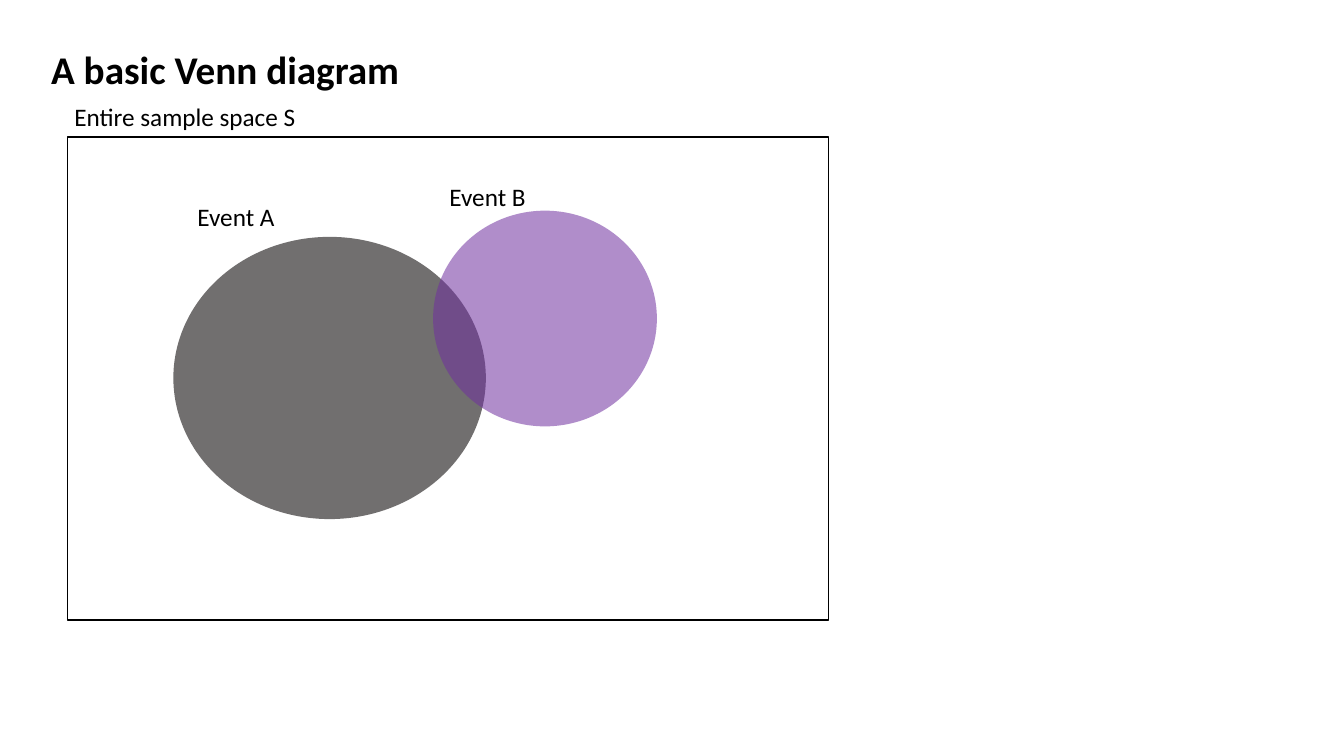
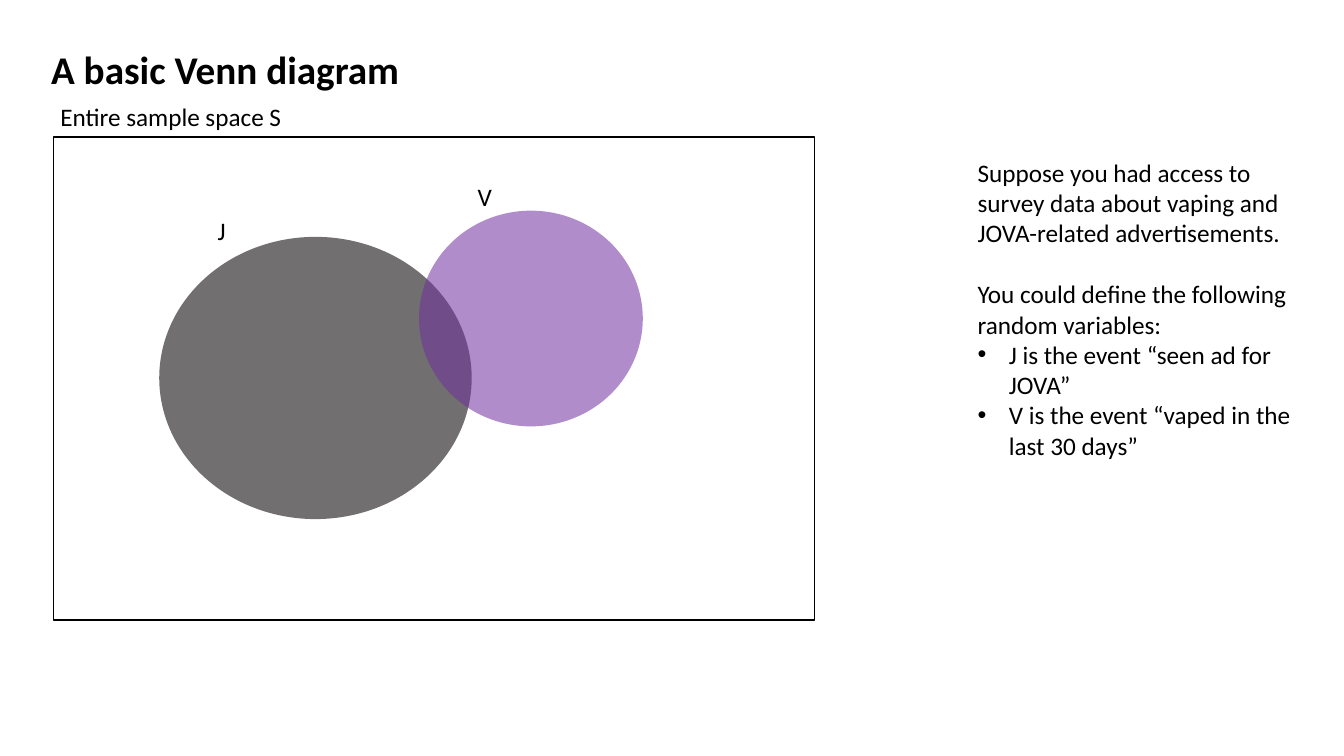
from lxml import etree
from pptx import Presentation
from pptx.dml.color import RGBColor
from pptx.enum.shapes import MSO_SHAPE
from pptx.oxml.ns import qn
from pptx.util import Inches, Pt

OVAL, RECT = MSO_SHAPE.OVAL, MSO_SHAPE.RECTANGLE
BLACK = RGBColor(0x00, 0x00, 0x00)
GRAY = RGBColor(0x3B, 0x38, 0x38)
PURPLE = RGBColor(0x70, 0x30, 0xA0)
FONT = "Calibri"
WIDE, HIGH = Inches(13.333), Inches(7.5)
COL, ROW = WIDE / 40, HIGH / 22.5

TITLE = "A basic Venn diagram"
SPACE = "Entire sample space S"
TITLE_BOX = (1.23, 1.2, 15, 1.71)
NOTE_BOX = (28.8, 4.53, 10.35, 9.39)
TOP, FRAME = 4.08, (22.65, 14.37)
DISCS = [
    (GRAY, 72, (3.15, 2.97, 9.3, 8.4)),
    (PURPLE, 55, (10.88, 2.19, 6.66, 6.42)),
]
SLIDES = [
    {"left": 2.01,
     "labels": [("Event A", 3.57, 1.77), ("Event B", 11.07, 1.17)],
     "notes": []},
    {"left": 1.59,
     "labels": [("J", 4.59, 2.19), ("V", 12.33, 1.17)],
     "notes": [
         ("Suppose you had access to survey data about vaping and "
          "JOVA-related advertisements.", False, 22),
         ("You could define the following random variables:", False, 0),
         ("J is the event “seen ad for JOVA”", True, 0),
         ("V is the event “vaped in the last 30 days”", True, 0),
     ]},
]


def place(x, y, w, h):
    return round(x * COL), round(y * ROW), round(w * COL), round(h * ROW)


def add_bullet(para):
    props = para._p.get_or_add_pPr()
    props.set("marL", str(Inches(0.31)))
    props.set("indent", str(-Inches(0.31)))
    etree.SubElement(props, qn("a:buFont")).set("typeface", "Arial")
    etree.SubElement(props, qn("a:buChar")).set("char", "•")


def add_text(slide, box, lines, size=18, bold=False):
    frame = slide.shapes.add_textbox(*place(*box)).text_frame
    frame.word_wrap = True
    for i, (text, bullet, gap) in enumerate(lines):
        para = frame.add_paragraph() if i else frame.paragraphs[0]
        para.text = text
        para.space_after = Pt(gap)
        font = para.font
        font.name, font.size, font.bold = FONT, Pt(size), bold
        font.color.rgb = BLACK
        if bullet:
            add_bullet(para)


def add_disc(slide, box, color, alpha):
    disc = slide.shapes.add_shape(OVAL, *place(*box))
    disc.shadow.inherit = False
    disc.line.fill.background()
    disc.fill.solid()
    disc.fill.fore_color.rgb = color
    tint = disc.element.spPr.find(qn("a:solidFill"))[0]
    etree.SubElement(tint, qn("a:alpha")).set("val", str(alpha * 1000))


def add_frame(slide, left):
    frame = slide.shapes.add_shape(RECT, *place(left, TOP, *FRAME))
    frame.shadow.inherit = False
    frame.fill.background()
    frame.line.color.rgb = BLACK
    frame.line.width = Pt(1)


def add_venn(slide, left, labels):
    for color, alpha, (x, y, w, h) in DISCS:
        add_disc(slide, (left + x, TOP + y, w, h), color, alpha)
    add_frame(slide, left)
    for text, x, y in labels:
        add_text(slide, (left + x, TOP + y, 3.57, 1.2), [(text, False, 0)])
    add_text(slide, (left - 0.09, TOP - 1.2, 10, 1.2), [(SPACE, False, 0)])


def main():
    deck = Presentation()
    deck.slide_width, deck.slide_height = WIDE, HIGH
    for data in SLIDES:
        slide = deck.slides.add_slide(deck.slide_layouts[6])
        add_venn(slide, data["left"], data["labels"])
        if data["notes"]:
            add_text(slide, NOTE_BOX, data["notes"])
        add_text(slide, TITLE_BOX, [(TITLE, False, 0)], 28, True)
    deck.save("out.pptx")


if __name__ == "__main__":
    main()
